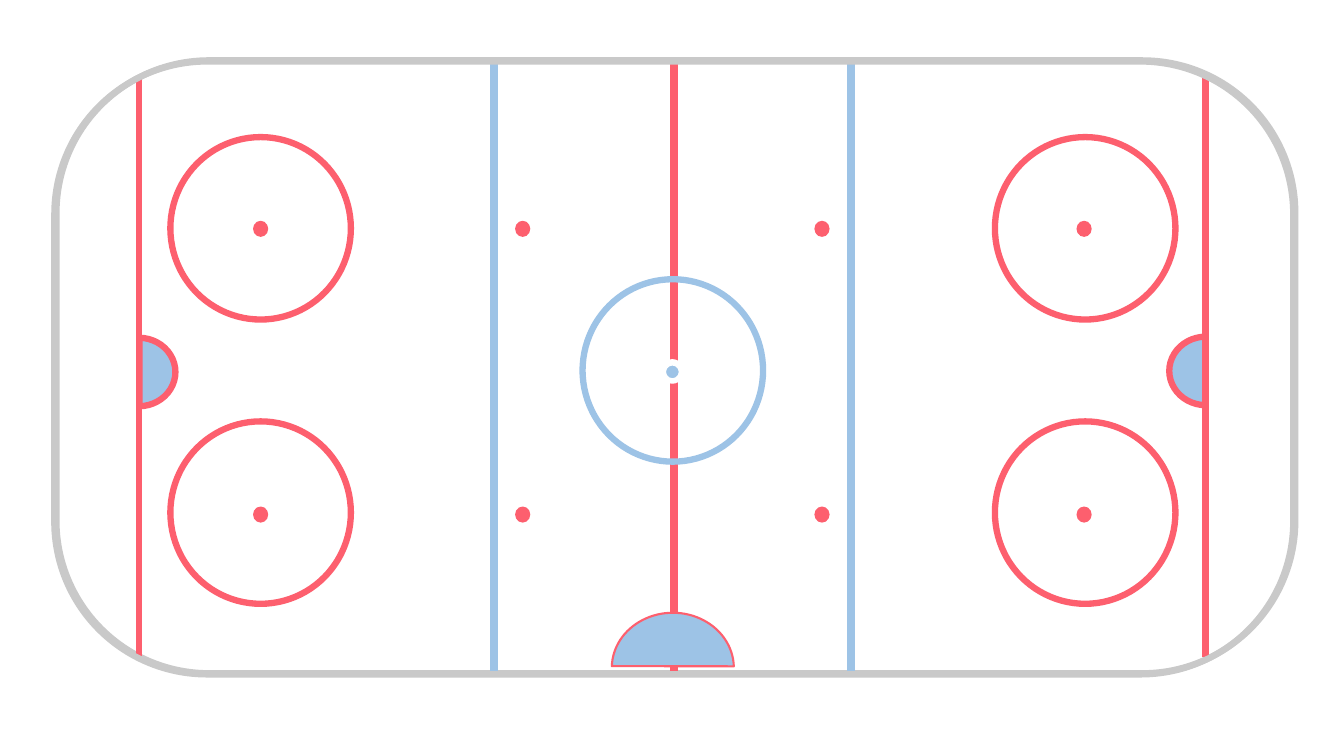
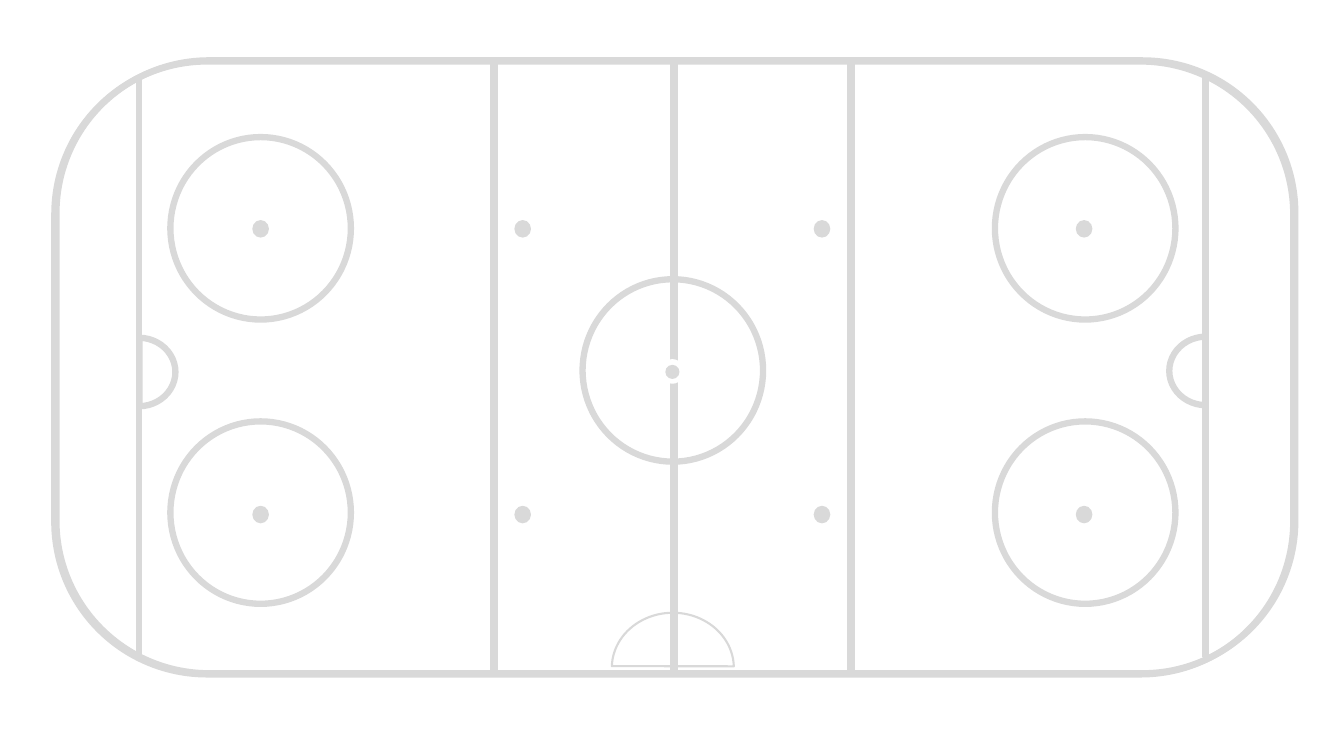
"""Draw an ice hockey rink twice: in full colour and as a grey outline."""
from itertools import product
from lxml.etree import SubElement
from pptx import Presentation
from pptx.dml.color import RGBColor
from pptx.enum.shapes import MSO_CONNECTOR, MSO_SHAPE
from pptx.oxml.ns import qn
from pptx.util import Inches, Pt

WHITE = RGBColor(0xFF, 0xFF, 0xFF)
RED = RGBColor(0xFD, 0x5F, 0x6E)
BLUE = RGBColor(0x9D, 0xC3, 0xE6)
BOARD = RGBColor(0xC9, 0xC9, 0xC9)
GREY = RGBColor(0xD9, 0xD9, 0xD9)

prs = Presentation()
prs.slide_width, prs.slide_height = Inches(13.33), Inches(7.5)
COL, ROW = prs.slide_width / 100, prs.slide_height / 100

RINK = (50.14, 48.67, 92.18, 81.07)
RINK_OFFSET = (50.29, 48.53, 92.18, 81.07)
CORNER = [0.249]
HALF = [54.906, 161.206]
CIRCLE = (13.43, 24.13)


def shape(s, kind, box, fill=None, line=None, width=1, adj=(), rot=0):
    cx, cy, w, h = box
    sp = s.shapes.add_shape(kind, int((cx - w / 2) * COL), int((cy - h / 2) * ROW),
                            int(w * COL), int(h * ROW))
    sp.shadow.inherit = False
    sp.rotation = rot
    for i, value in enumerate(adj):
        sp.adjustments[i] = value
    if fill is None:
        sp.fill.background()
    else:
        sp.fill.solid()
        sp.fill.fore_color.rgb = fill
    if line is None:
        sp.line.fill.background()
    else:
        sp.line.color.rgb = line
        sp.line.width = Pt(width)
    return sp


def upright(s, x, top, bottom, color, width):
    cn = s.shapes.add_connector(MSO_CONNECTOR.STRAIGHT, int(x * COL), int(top * ROW),
                                int(x * COL), int(bottom * ROW))
    cn.line.color.rgb = color
    cn.line.width = Pt(width)
    SubElement(cn._element.spPr, qn("a:effectLst"))
    return cn


for board, red, blue, area, dot_edge, spot_edge in (
        (BOARD, RED, BLUE, BLUE, None, WHITE),
        (GREY, GREY, GREY, None, GREY, None)):
    s = prs.slides.add_slide(prs.slide_layouts[6])
    in_colour = area is not None

    if in_colour:
        shape(s, MSO_SHAPE.ROUNDED_RECTANGLE, RINK_OFFSET, WHITE, board, 4.5, CORNER)
    else:
        rink = shape(s, MSO_SHAPE.ROUNDED_RECTANGLE, RINK, WHITE, board, 4.5, CORNER)
        shape(s, MSO_SHAPE.ROUNDED_RECTANGLE, RINK_OFFSET, None, board, 4.5, CORNER)

    centre = upright(s, 50.1, 8.13, 89.07, red, 6)
    for x in (89.7, 10.35):
        upright(s, x, 10.13, 86.93, red, 4.5)

    shape(s, MSO_SHAPE.OVAL, (50.03, 49.13, 1.65, 3.07), WHITE, WHITE)
    shape(s, MSO_SHAPE.OVAL, (50.03, 49.2, 1.05, 1.87), blue, spot_edge)
    shape(s, MSO_SHAPE.OVAL, (50.06, 49, *CIRCLE), None, blue, 4.5)
    for x, y in product((19.39, 80.74), (30.2, 67.8)):
        shape(s, MSO_SHAPE.OVAL, (x, y, *CIRCLE), None, red, 4.5)
    for x, y in product((19.39, 38.89, 61.16, 80.66), (30.27, 68.07)):
        shape(s, MSO_SHAPE.OVAL, (x, y, 1.13, 2.13), red, dot_edge)

    for x in (36.75, 63.3):
        upright(s, x, 8.13, 89.07, blue, 6)

    for box, width, rot in (((10.31, 49.2, 5.48, 9.07), 4.5, 180),
                            ((89.74, 49.07, 5.48, 9.07), 4.5, 0),
                            ((50.06, 88.33, 8.18, 16.13), 1.5, 90)):
        shape(s, MSO_SHAPE.CHORD, box, area, red, width, HALF, rot)

    if in_colour:
        rink = shape(s, MSO_SHAPE.ROUNDED_RECTANGLE, RINK, None, board, 4.5, CORNER)
    centre.begin_connect(rink, 0)
    centre.end_connect(rink, 2)

prs.save("out.pptx")
